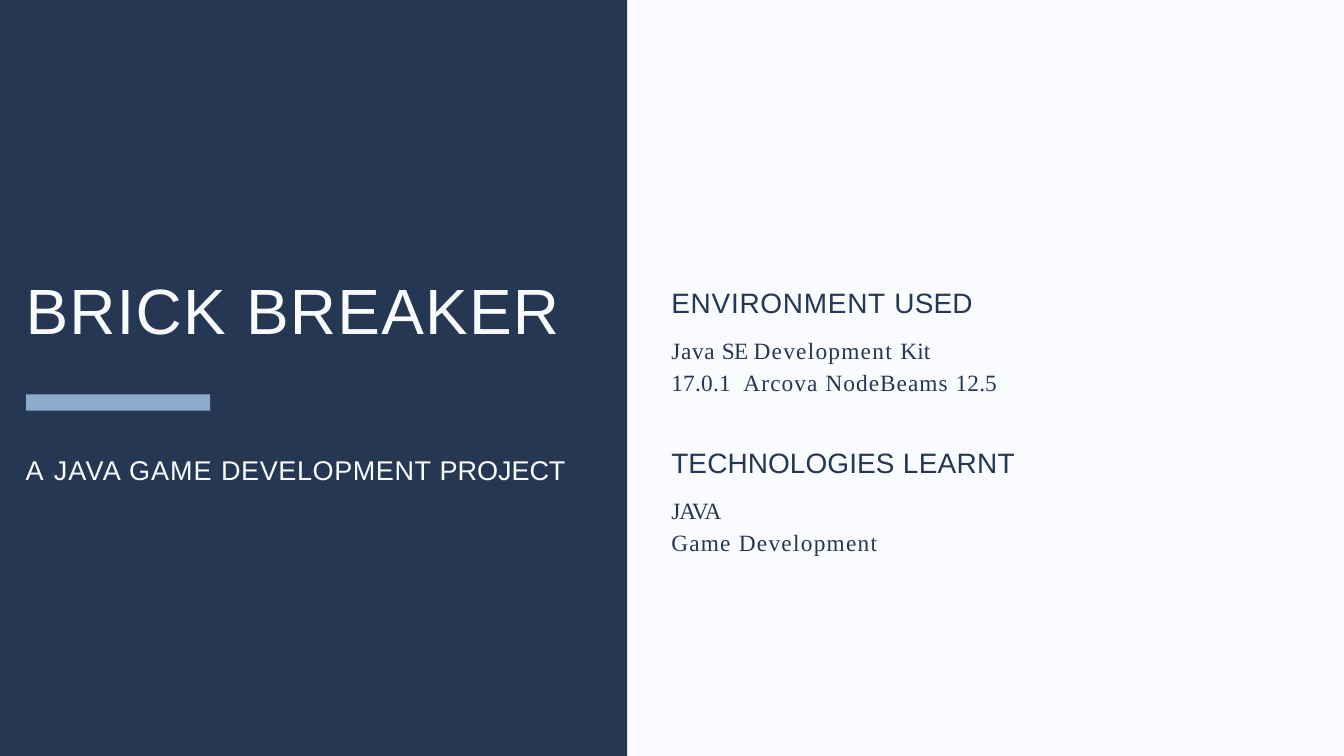
from pptx import Presentation
from pptx.dml.color import RGBColor
from pptx.enum.shapes import MSO_SHAPE
from pptx.enum.text import MSO_ANCHOR, MSO_AUTO_SIZE, PP_ALIGN
from pptx.util import Pt

NAVY = RGBColor(0x26, 0x37, 0x54)
PALE = RGBColor(0xF9, 0xFB, 0xFF)
BLUE = RGBColor(0x8A, 0xAB, 0xCA)
SANS, SERIF = "Arial", "Times New Roman"

# Content: runs are (text, letter spacing in points)
TITLE = [("BRICK ", 1.3), ("BREAKER", 1.4)]
SUBTITLE = [("A ", 2.2), ("JAVA ", 1.2), ("GAME ", 1), ("DEVELOPMENT ", 0.6),
            ("PROJECT", -0.1)]
# Sections: top, heading, then body lines as (space before, line spacing, runs)
SECTIONS = [
    (305.3, [("ENVIRONMENT ", 0.8), ("USED", 0.2)], [
        (13.3, 1.15, [("Java ", 0.7), ("SE ", -0.7), ("Development ", 1.4),
                      ("Kit", 0.1), ("\v", 0), ("17.0.1", 0.3), (" ", 6.8),
                      ("Arcova ", 1.2), ("NodeBeams ", 1.1), ("12.5", 0.2)]),
    ]),
    (476.6, [("TECHNOLOGIES ", 0.1), ("LEARNT", 0.3)], [
        (17.9, 1, [("JAVA", -1.2)]),
        (4.5, 1, [("Game ", 1.3), ("Development", 1.4)]),
    ]),
]

# Layout in points
WIDTH, HEIGHT = 1440, 810
SPLIT = 672
LEFT_X, RIGHT_X = 27.4, 719.3

prs = Presentation()
prs.slide_width, prs.slide_height = Pt(WIDTH), Pt(HEIGHT)
s = prs.slides.add_slide(prs.slide_layouts[5])


def add_panel(x, y, w, h, color):
    sp = s.shapes.add_shape(MSO_SHAPE.RECTANGLE, Pt(x), Pt(y), Pt(w), Pt(h))
    sp.shadow.inherit = False
    sp.fill.solid()
    sp.fill.fore_color.rgb = color
    sp.line.fill.background()


def set_frame(sp, x, y, w, h, inset):
    sp.left, sp.top, sp.width, sp.height = Pt(x), Pt(y), Pt(w), Pt(h)
    tf = sp.text_frame
    tf.word_wrap = True
    tf.auto_size = MSO_AUTO_SIZE.NONE
    tf.vertical_anchor = MSO_ANCHOR.TOP
    tf.margin_left = tf.margin_right = tf.margin_bottom = 0
    tf.margin_top = Pt(inset)
    return tf


def write(p, runs, *, size, font, color, before=1, spacing=1):
    p.alignment = PP_ALIGN.LEFT
    p.space_before = Pt(before)
    p.line_spacing = spacing
    for text, tracking in runs:
        if text == "\v":
            p.add_line_break()
            continue
        r = p.add_run()
        r.text = text
        r.font.size = Pt(size)
        r.font.name = font
        r.font.color.rgb = color
        r.font._element.set("spc", str(round(tracking * 100)))


def add_box(*frame):
    return set_frame(s.shapes.add_textbox(0, 0, 0, 0), *frame)


# Panels and accent bar
add_panel(SPLIT, 0, WIDTH - SPLIT, HEIGHT, PALE)
add_panel(0, 0, SPLIT, HEIGHT, NAVY)
add_panel(28, 422.6, 197.3, 17.3, BLUE)

# Title, brought in front of the panels
title = s.shapes.title
s.shapes._spTree.append(title._element)
tf = set_frame(title, LEFT_X, 288.7, 573, 84.2, 1.4)
write(tf.paragraphs[0], TITLE, size=68.5, font=SANS, color=PALE)

# Subtitle
tf = add_box(LEFT_X, 484.6, 600, 37.4, 1.4)
write(tf.paragraphs[0], SUBTITLE, size=29, font=SANS, color=PALE)

# Sections on the right
for top, heading, lines in SECTIONS:
    tf = add_box(RIGHT_X, top, 370, 120.2, 0.7)
    write(tf.paragraphs[0], heading, size=30, font=SANS, color=NAVY)
    for before, spacing, runs in lines:
        write(tf.add_paragraph(), runs, size=25, font=SERIF, color=NAVY,
              before=before, spacing=spacing)

prs.save("out.pptx")
